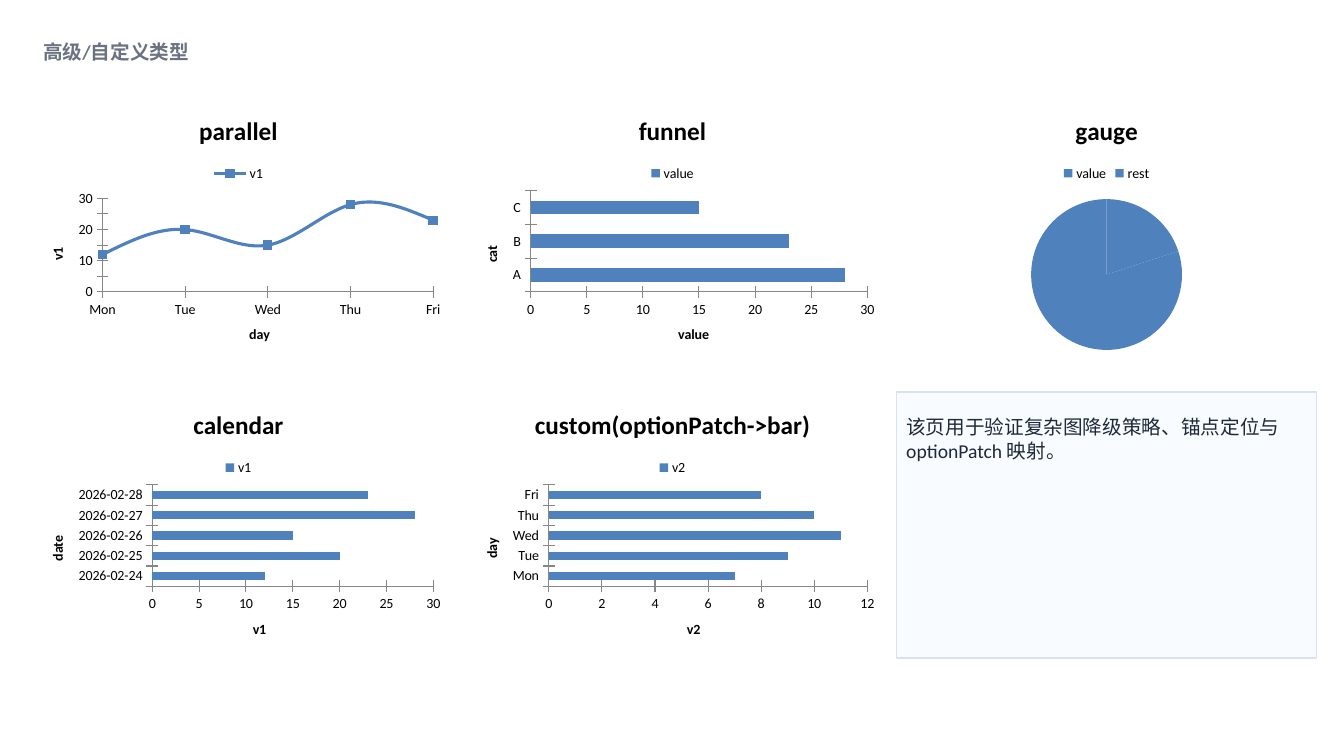
from lxml import etree
from pptx import Presentation
from pptx.chart.data import CategoryChartData
from pptx.dml.color import RGBColor
from pptx.enum.chart import XL_CHART_TYPE, XL_LEGEND_POSITION, XL_MARKER_STYLE, XL_TICK_MARK
from pptx.enum.shapes import MSO_SHAPE
from pptx.enum.text import MSO_ANCHOR, PP_ALIGN
from pptx.oxml.ns import qn
from pptx.util import Inches, Pt


def color(value):
    return RGBColor.from_string(value)


class ChartPage:
    """Slide builder that holds the shared style and the current slide."""

    font = "Calibri"
    blue = "4F81BD"
    black = "000000"
    axis_gray = "868686"

    def __init__(self, slide):
        self.shapes = slide.shapes

    def panel(self, left, top, width, height, fill, line, line_width):
        panel = self.shapes.add_shape(
            MSO_SHAPE.RECTANGLE, Inches(left), Inches(top), Inches(width), Inches(height))
        panel.shadow.inherit = False
        panel.fill.solid()
        panel.fill.fore_color.rgb = color(fill)
        panel.line.color.rgb = color(line)
        panel.line.width = Pt(line_width)
        return panel

    def text_box(self, left, top, width, height):
        return self.shapes.add_textbox(Inches(left), Inches(top), Inches(width), Inches(height))

    def set_text(self, box, text, text_color, bold=False):
        frame = box.text_frame
        frame.text = text
        frame.word_wrap = True
        frame.vertical_anchor = MSO_ANCHOR.TOP
        frame.margin_top = Inches(0.23)
        para = frame.paragraphs[0]
        para.alignment = PP_ALIGN.LEFT
        self.style(para.runs[0].font, 14, text_color, bold)

    def style(self, font, size, text_color, bold):
        font.name = self.font
        font.size = Pt(size)
        font.bold = bold
        font.color.rgb = color(text_color)

    def chart(self, kind, place, title, series_name, categories, values):
        data = CategoryChartData()
        data.categories = categories
        data.add_series(series_name, values)
        chart = self.shapes.add_chart(kind, *[Inches(length) for length in place], data).chart
        self.style(chart.font, 10, self.black, False)
        self.title(chart.chart_title, title, 18)
        chart.chart_title.include_in_layout = False
        chart.has_legend = True
        chart.legend.position = XL_LEGEND_POSITION.TOP
        chart.legend.include_in_layout = False
        chart.plots[0].vary_by_categories = False
        return chart

    def title(self, title, text, size):
        title.text_frame.text = text
        self.style(title.text_frame.paragraphs[0].runs[0].font, size, self.black, True)

    def axes(self, chart, category_title, value_title):
        for axis, text in ((chart.category_axis, category_title), (chart.value_axis, value_title)):
            self.title(axis.axis_title, text, 10)
            axis.has_major_gridlines = False
            axis.major_tick_mark = XL_TICK_MARK.CROSS
            axis.minor_tick_mark = XL_TICK_MARK.NONE
            axis.format.line.color.rgb = color(self.axis_gray)
            axis.format.line.width = Pt(0.75)

    def bar_chart(self, place, title, category_title, value_title, categories, values):
        chart = self.chart(XL_CHART_TYPE.BAR_CLUSTERED, place, title, value_title, categories, values)
        self.axes(chart, category_title, value_title)
        plot = chart.plots[0]
        plot.gap_width = 150
        plot.series[0].format.fill.solid()
        plot.series[0].format.fill.fore_color.rgb = color(self.blue)

    def line_chart(self, place, title, category_title, value_title, categories, values):
        chart = self.chart(XL_CHART_TYPE.LINE_MARKERS, place, title, value_title, categories, values)
        self.axes(chart, category_title, value_title)
        series = chart.plots[0].series[0]
        series.smooth = True
        series.format.line.color.rgb = color(self.blue)
        series.format.line.width = Pt(2.25)
        series.marker.style = XL_MARKER_STYLE.SQUARE
        series.marker.size = 6
        series.marker.format.fill.solid()
        series.marker.format.fill.fore_color.rgb = color(self.blue)
        series.marker.format.line.color.rgb = color(self.blue)
        axis = chart.value_axis._element
        cross = axis.find(qn("c:crossBetween"))
        if cross is None:
            cross = etree.Element(qn("c:crossBetween"))
            axis.find(qn("c:crosses")).addnext(cross)
        cross.set("val", "midCat")

    def pie_chart(self, place, title, categories, values):
        chart = self.chart(XL_CHART_TYPE.PIE, place, title, title, categories, values)
        series = chart.plots[0].series[0]
        for index in range(len(values)):
            fill = series.points[index].format.fill
            fill.solid()
            fill.fore_color.rgb = color(self.blue)


def main():
    deck = Presentation()
    deck.slide_width, deck.slide_height = Inches(13.33), Inches(7.5)
    page = ChartPage(deck.slides.add_slide(deck.slide_layouts[6]))

    def cell(column, row):
        return 0.28 + 4.305 * column, 0.97 + 2.92 * row, 4.17, 2.64

    days = ["Mon", "Tue", "Wed", "Thu", "Fri"]
    dates = [f"2026-02-{day}" for day in range(24, 29)]
    daily_values = [12, 20, 15, 28, 23]

    page.panel(0, 0, 13.33, 7.5, "FFFFFF", "FFFFFF", 0.75)
    page.set_text(page.text_box(0.33, 0.17, 11.94, 0.56), "高级/自定义类型", "6B7280", True)
    page.line_chart(cell(0, 0), "parallel", "day", "v1", days, daily_values)
    page.bar_chart(cell(1, 0), "funnel", "cat", "value", ["A", "B", "C"], [28, 23, 15])
    page.pie_chart(cell(2, 0), "gauge", ["value", "rest"], [20, 80])
    page.bar_chart(cell(0, 1), "calendar", "date", "v1", dates, daily_values)
    page.bar_chart(cell(1, 1), "custom(optionPatch->bar)", "day", "v2", days, [7, 9, 11, 10, 8])
    note = page.panel(*cell(2, 1), "F8FBFF", "D9E2F2", 1)
    page.set_text(note, "该页用于验证复杂图降级策略、锚点定位与 optionPatch 映射。", "1F2937")

    deck.save("out.pptx")


if __name__ == "__main__":
    main()
